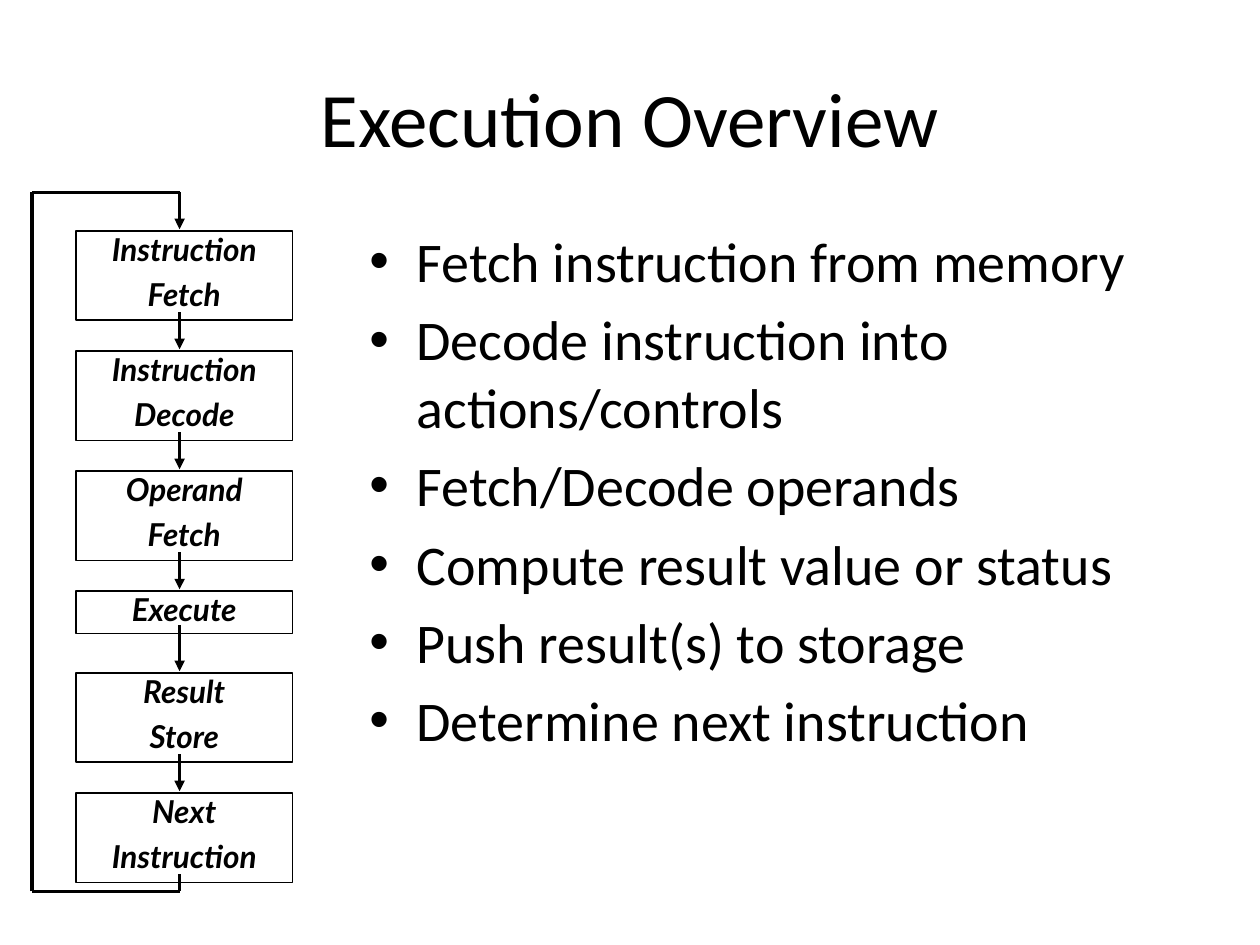
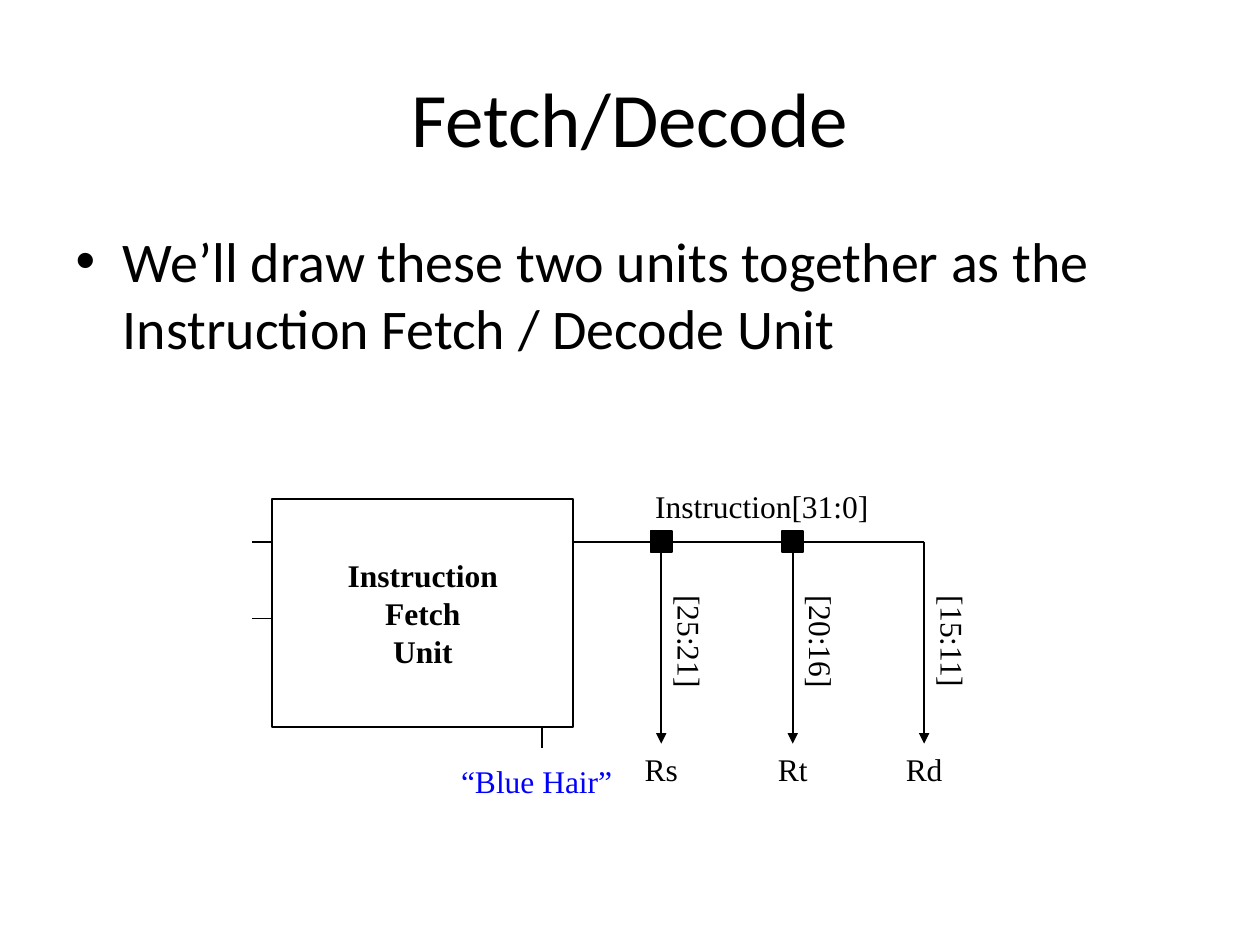
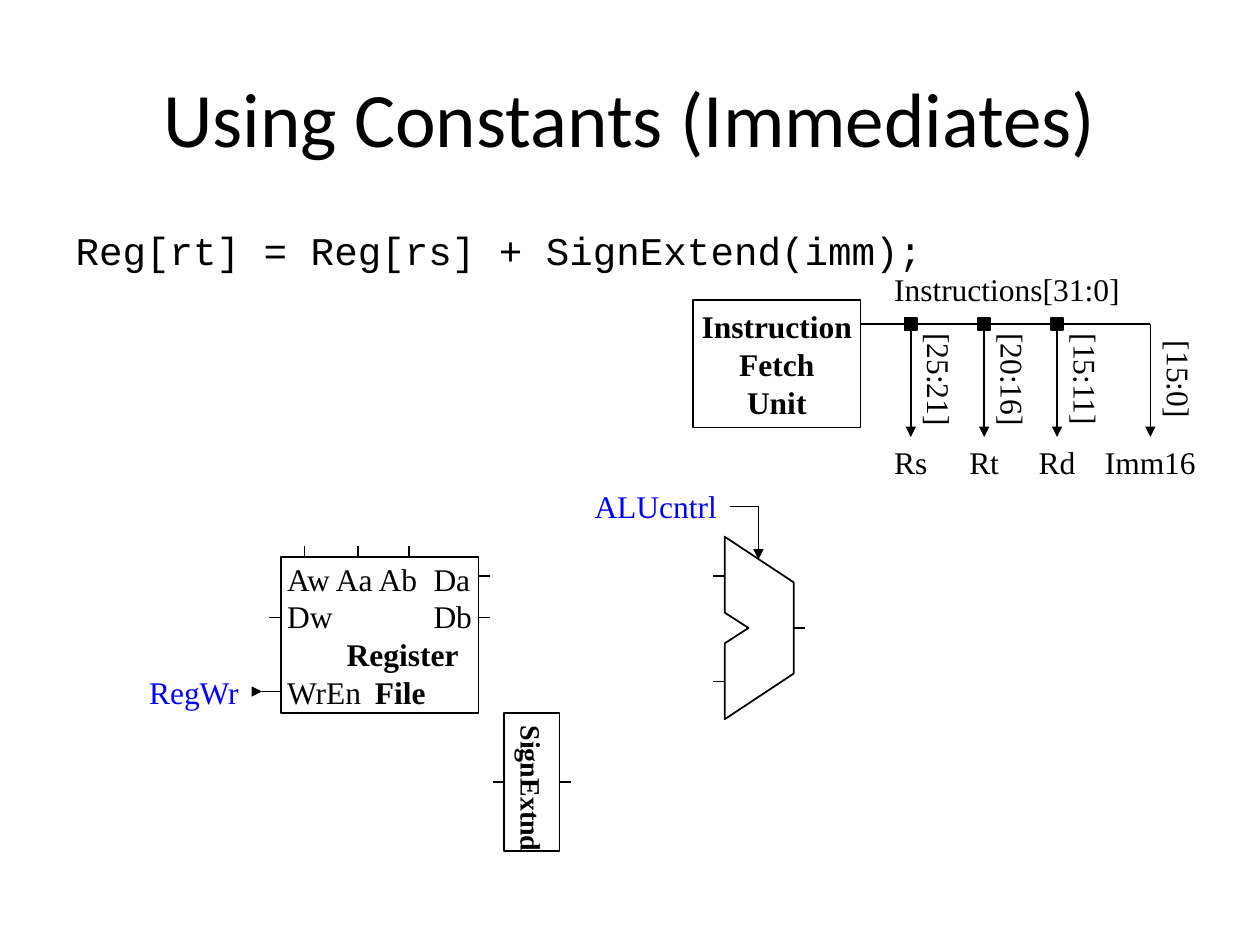
from itertools import pairwise

from lxml.etree import SubElement
from pptx import Presentation
from pptx.dml.color import RGBColor
from pptx.enum.shapes import MSO_CONNECTOR as Connector, MSO_SHAPE as Shape
from pptx.enum.text import MSO_ANCHOR as Anchor, PP_ALIGN as Align
from pptx.oxml.ns import qn
from pptx.util import Cm, Pt

COLORS = {"ink": "000000", "paper": "FFFFFF", "control": "0000FF"}
TEXT_FONT = "Calibri"
CODE_FONT = "Courier New"
STAGE_FONT = "Lato"
DIAGRAM_FONT = "Times New Roman"
STUB = 0.23  # length of an unconnected pin, in cm


def rgb(name):
    return RGBColor.from_string(COLORS[name])


# Shared text and shape helpers
def add_run(paragraph, text, size=18, font=DIAGRAM_FONT, color="ink", bold=False, italic=False):
    run = paragraph.add_run()
    run.text = text
    run.font.size = Pt(size)
    run.font.name = font
    run.font.bold = bold
    run.font.italic = italic
    run.font.color.rgb = rgb(color)


def paragraphs_for(frame, count):
    return [frame.paragraphs[0]] + [frame.add_paragraph() for _ in range(count - 1)]


def fill_lines(frame, lines, **style):
    paragraphs = paragraphs_for(frame, len(lines))
    for paragraph, line in zip(paragraphs, lines):
        paragraph.alignment = Align.CENTER
        add_run(paragraph, line, **style)
    return paragraphs


def outline(shape, fill):
    shape.shadow.inherit = False
    shape.fill.solid()
    shape.fill.fore_color.rgb = rgb(fill)
    shape.line.color.rgb = rgb("ink")
    shape.line.width = Pt(1)
    return shape


def add_box(slide, left, top, width, height, fill="paper"):
    shape = slide.shapes.add_shape(Shape.RECTANGLE, Cm(left), Cm(top), Cm(width), Cm(height))
    shape.text_frame.vertical_anchor = Anchor.MIDDLE
    shape.text_frame.word_wrap = False
    return outline(shape, fill)


def add_label(slide, text, center, top, width=2.4, color="ink", rotation=0):
    label = slide.shapes.add_textbox(Cm(center - width / 2), Cm(top), Cm(width), Cm(1.02))
    label.rotation = rotation
    label.text_frame.word_wrap = False
    fill_lines(label.text_frame, [text], color=color)


def add_line(slide, start, end, arrow=False, weight=1, begin=None, finish=None, bent=False):
    """Draw from start to end; begin and finish are optional (shape, side) joints."""
    kind = Connector.ELBOW if bent else Connector.STRAIGHT
    line = slide.shapes.add_connector(kind, *(Cm(value) for value in (*start, *end)))
    if begin:
        line.begin_connect(*begin)
    if finish:
        line.end_connect(*finish)
    line.line.color.rgb = rgb("ink")
    line.line.width = Pt(weight)
    properties = line._element.spPr
    if bent:
        properties.find(qn("a:prstGeom")).set("prst", "bentConnector2")
    if arrow:
        SubElement(properties.get_or_add_ln(), qn("a:tailEnd"), type="triangle")
    SubElement(properties, qn("a:effectLst"))


def add_slide(presentation, title, lines, box, font=TEXT_FONT, size=32, bullets=True):
    slide = presentation.slides.add_slide(presentation.slide_layouts[1])
    heading, body = slide.shapes.title, slide.placeholders[1]
    fill_lines(heading.text_frame, [title], size=44, font=TEXT_FONT)
    body.left, body.top, body.width, body.height = (Cm(value) for value in box)
    for paragraph, line in zip(paragraphs_for(body.text_frame, len(lines)), lines):
        add_run(paragraph, line, size, font)
        if not bullets:
            properties = paragraph._p.get_or_add_pPr()
            properties.set("marL", "0")
            properties.set("indent", "0")
            SubElement(properties, qn("a:buNone"))
    return slide


# Execution cycle: a column of stages with a loop back to the first
def draw_cycle(slide, left, top, width):
    stages = [["Instruction", "Fetch"], ["Instruction", "Decode"], ["Operand", "Fetch"],
              ["Execute"], ["Result", "Store"], ["Next", "Instruction"]]
    spine, loop = left + 2.09, left - 0.88
    stage_top = top
    for index, words in enumerate(stages):
        height, gap = (1.8, 0.62) if len(words) == 2 else (0.85, 0.8)
        stage = add_box(slide, left, stage_top, width, height)
        stage.fill.background()
        frame = stage.text_frame
        frame.vertical_anchor = Anchor.TOP
        frame.word_wrap = True
        frame.margin_left = frame.margin_right = Cm(0.18)
        frame.margin_top = frame.margin_bottom = Cm(0.08)
        paragraphs = fill_lines(frame, words, font=STAGE_FONT, bold=True, italic=True)
        for paragraph in paragraphs:
            paragraph.line_spacing = 0.86
        for paragraph in paragraphs[1:]:
            paragraph.space_before = Pt(7.2)
        bottom = stage_top + height
        stage_top = bottom + gap
        if index < len(stages) - 1:
            add_line(slide, (spine, bottom - 0.17), (spine, stage_top - 0.04), True, 2)

    # Return path
    corners = [(spine, bottom - 0.17), (spine, bottom + 0.18), (loop, bottom + 0.18),
               (loop, top - 0.78), (spine, top - 0.78), (spine, top - 0.04)]
    for start, end in pairwise(corners):
        add_line(slide, start, end, arrow=end == corners[-1], weight=2)


# Fetch unit: a box whose instruction bus is tapped into fields
def draw_fetch_unit(slide, box, bus_offset, arrow_length, node, taps, bus_name, name_offset):
    left, top, width, height = box
    unit = add_box(slide, *box)
    fill_lines(unit.text_frame, ["Instruction", "Fetch", "Unit"], bold=True)
    bus = top + bus_offset
    arrow_end = bus + arrow_length
    add_label(slide, bus_name, left + name_offset, bus - 1.22, 7)

    start, joint = (left + width, bus), None
    for index, (offset, field, bits) in enumerate(taps):
        tap = left + offset
        if index < len(taps) - 1:
            square = add_box(slide, tap - node / 2, bus - node / 2, node, node, "ink")
            add_line(slide, start, (tap - node / 2, bus), begin=joint, finish=(square, 1))
            add_line(slide, (tap, bus + node / 2), (tap, arrow_end), True, begin=(square, 2))
            start, joint = (tap + node / 2, bus), (square, 3)
        else:
            add_line(slide, start, (tap, bus), begin=joint)
            add_line(slide, (tap, bus), (tap, arrow_end), True)
        add_label(slide, field, tap, arrow_end)
        add_label(slide, bits, tap + 0.58, (bus + arrow_end) / 2 - 0.53, rotation=90)


# Register file: ports named inside the box, pins outside
def draw_register_file(slide, left, top, width, height):
    frame = add_box(slide, left, top, width, height).text_frame
    frame.word_wrap = True
    frame.margin_left = Cm(0.13)
    frame.margin_right = 0
    rows = [  # runs as (text, bold), left indent, tab stop
        ([("Aw Aa Ab\tDa", False)], 0, 2.95),
        ([("Dw\tDb", False)], 0, 2.95),
        ([("Register", True)], 1.2, None),
        ([("WrEn\t", False), ("File", True)], 0, 1.77),
    ]
    for paragraph, (runs, indent, tab) in zip(paragraphs_for(frame, len(rows)), rows):
        paragraph.alignment = Align.LEFT
        properties = paragraph._p.get_or_add_pPr()
        properties.set("marL", str(Cm(indent)))
        if tab:
            tabs = SubElement(properties, qn("a:tabLst"))
            SubElement(tabs, qn("a:tab"), pos=str(Cm(tab)), algn="l")
        for text, bold in runs:
            add_run(paragraph, text, bold=bold)

    right, write = left + width, top + 2.71
    for x in (0.48, 1.55, 2.59):
        add_line(slide, (left + x, top), (left + x, top - STUB))
    for y in (0.38, 1.22):
        add_line(slide, (right, top + y), (right + STUB, top + y))
    add_line(slide, (left - STUB, top + 1.22), (left, top + 1.22))
    add_line(slide, (left - 0.38, write), (left, write))
    add_line(slide, (left - 0.55, write), (left - 0.38, write), True)
    add_label(slide, "RegWr", left - 1.75, write - 0.5, color="control")


# ALU: notched trapezium with a control input
def draw_alu(slide, left, top, width, height):
    middle, slope, notch = height / 2, 0.92, 0.31
    corners = [(0, 0), (width, slope), (width, height - slope), (0, height),
               (0, middle + notch), (0.48, middle), (0, middle - notch)]
    points = [(Cm(left + x), Cm(top + y)) for x, y in corners]
    builder = slide.shapes.build_freeform(*points[0])
    builder.add_line_segments(points[1:], close=True)
    outline(builder.convert_to_shape(), "paper")

    right = left + width
    for y in (0.79, height - 0.76):
        add_line(slide, (left - STUB, top + y), (left, top + y))
    add_line(slide, (right, top + middle), (right + STUB, top + middle))
    add_line(slide, (left + 0.1, top - 0.61), (left + 0.68, top + 0.46), True, bent=True)
    add_label(slide, "ALUcntrl", left - 1.39, top - 1.12, 3, "control")


# Sign extender: vertical text between two pins
def draw_sign_extender(slide, left, top, width, height):
    extender = add_box(slide, left, top, width, height)
    extender.text_frame._txBody.bodyPr.set("vert", "eaVert")
    fill_lines(extender.text_frame, ["SignExtnd"], size=16, bold=True)
    middle, right = top + height / 2, left + width
    add_line(slide, (left - STUB, middle), (left, middle), finish=(extender, 1))
    add_line(slide, (right, middle), (right + STUB, middle), begin=(extender, 3))


# Slides
def overview_slide(presentation):
    slide = add_slide(presentation, "Execution Overview", [
        "Fetch instruction from memory",
        "Decode instruction into actions/controls",
        "Fetch/Decode operands",
        "Compute result value or status",
        "Push result(s) to storage",
        "Determine next instruction",
    ], (7.19, 4.44, 16.94, 12.57))
    draw_cycle(slide, 1.53, 4.66, 4.37)


def fetch_slide(presentation):
    slide = add_slide(presentation, "Fetch/Decode", [
        "We’ll draw these two units together as the Instruction Fetch / Decode Unit",
    ], (1.27, 4.44, 22.86, 12.57))
    left, top, width, height = box = (5.49, 10.06, 6.07, 4.6)
    fields = [("Rs", "[25:21]"), ("Rt", "[20:16]"), ("Rd", "[15:11]")]
    taps = [(7.84 + 2.65 * index, *field) for index, field in enumerate(fields)]
    draw_fetch_unit(slide, box, 0.86, 4.07, 0.43, taps, "Instruction[31:0]", 9.87)
    for y in (0.86, 2.41):
        add_line(slide, (left - 0.41, top + y), (left, top + y))
    bottom = top + height
    add_line(slide, (left + 5.43, bottom + 0.41), (left + 5.43, bottom))
    add_label(slide, "“Blue Hair”", left + 5.33, bottom + 0.58, 6.4, "control")


def immediates_slide(presentation):
    slide = add_slide(presentation, "Using Constants (Immediates)",
                      ["Reg[rt] = Reg[rs] + SignExtend(imm);"],
                      (1.27, 4.44, 19.48, 1.27), CODE_FONT, 22.4, bullets=False)
    taps = [(4.39, "Rs", "[25:21]"), (5.87, "Rt", "[20:16]"),
            (7.34, "Rd", "[15:11]"), (9.22, "Imm16", "[15:0]")]
    draw_fetch_unit(slide, (13.97, 6.05, 3.38, 2.57), 0.48, 2.28, 0.25,
                    taps, "Instructions[31:0]", 6.33)
    draw_alu(slide, 14.61, 10.82, 1.39, 3.68)
    draw_register_file(slide, 5.66, 11.23, 3.99, 3.15)
    draw_sign_extender(slide, 10.16, 14.38, 1.12, 2.77)


def main():
    presentation = Presentation()
    presentation.slide_width, presentation.slide_height = Cm(25.4), Cm(19.05)
    overview_slide(presentation)
    fetch_slide(presentation)
    immediates_slide(presentation)
    presentation.save("out.pptx")


if __name__ == "__main__":
    main()
